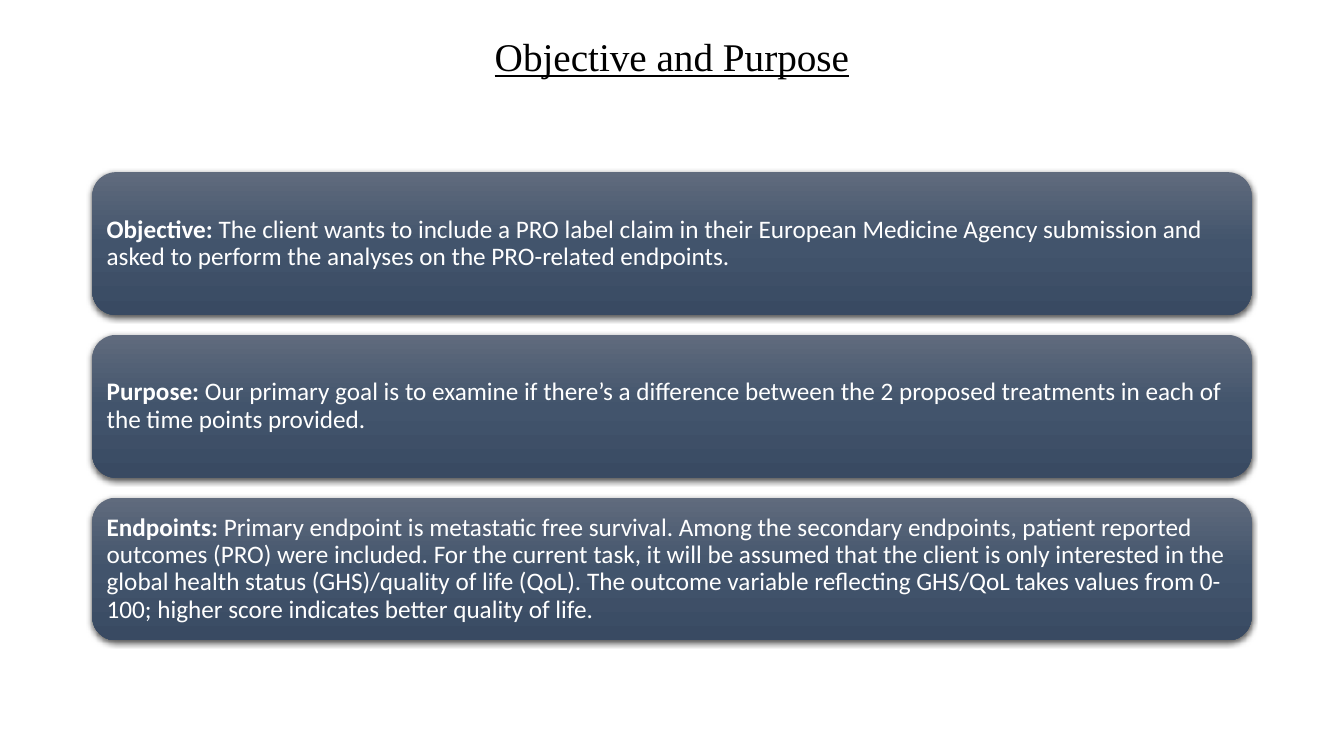
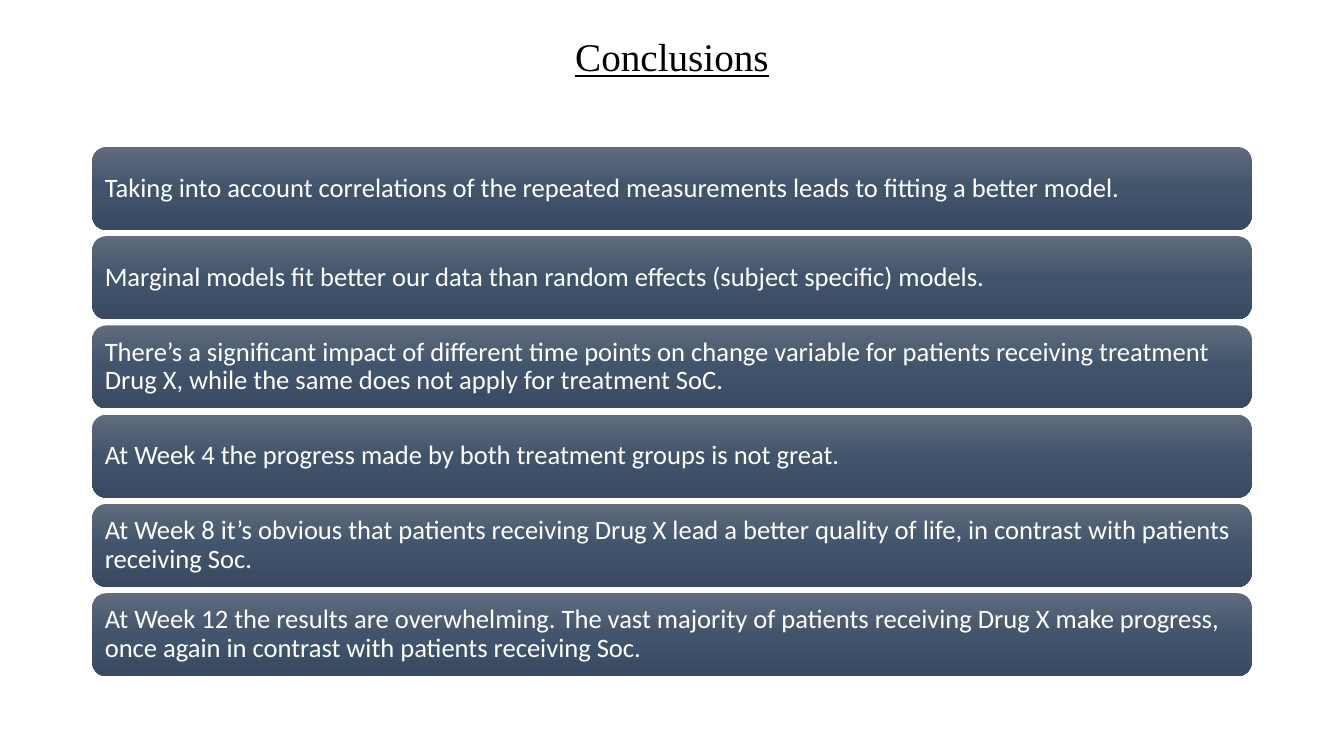
"""Build the objective and conclusions slides."""
from copy import deepcopy

from pptx import Presentation
from pptx.dml.color import RGBColor
from pptx.enum.shapes import MSO_SHAPE
from pptx.enum.text import MSO_ANCHOR, PP_ALIGN
from pptx.oxml import parse_xml
from pptx.oxml.ns import nsdecls, qn
from pptx.util import Pt

ROUND = MSO_SHAPE.ROUNDED_RECTANGLE
MIDDLE = MSO_ANCHOR.MIDDLE
LEFT, CENTER = PP_ALIGN.LEFT, PP_ALIGN.CENTER

PX = 9525
WIDTH, HEIGHT = 1280, 720
EDGE = 88
SPAN = WIDTH - 2 * EDGE
BLACK, WHITE = "000000", "FFFFFF"
STOPS = ((0, "606B7D"), (0.5, "42546C"), (1, "394A62"))
SERIF, SANS = "Times New Roman", "Calibri"
SHADOW = (
    f'<a:outerShdw {nsdecls("a")} blurRad="57150" dist="19050" dir="5400000" '
    'algn="ctr" rotWithShape="0"><a:srgbClr val="000000">'
    '<a:alpha val="63000"/></a:srgbClr></a:outerShdw>'
)

GOALS = (
    (("Objective:", True),
     (" The client wants to include a PRO label claim in their European "
      "Medicine Agency submission and asked to perform the analyses on the "
      "PRO-related endpoints.", False)),
    (("Purpose: ", True),
     ("Our primary goal is to examine if there’s a difference between the 2 "
      "proposed treatments in each of the time points provided.", False)),
    (("Endpoints: ", True),
     ("Primary endpoint is metastatic free survival. Among the secondary "
      "endpoints, patient reported outcomes (PRO) were included. For the "
      "current task, it will be assumed that the client is only interested "
      "in the global health status (GHS)/quality of life (QoL). The outcome "
      "variable reflecting GHS/QoL takes values from 0-100; higher score "
      "indicates better quality of life.", False)),
)
RESULTS = (
    "Taking into account correlations of the repeated measurements leads to "
    "fitting a better model.",
    "Marginal models fit better our data than random effects (subject "
    "specific) models.",
    "There’s a significant impact of different time points on change variable "
    "for patients receiving treatment Drug X, while the same does not apply "
    "for treatment SoC.",
    "At Week 4 the progress made by both treatment groups is not great.",
    "At Week 8 it’s obvious that patients receiving Drug X lead a better "
    "quality of life, in contrast with patients receiving Soc.",
    "At Week 12 the results are overwhelming. The vast majority of patients "
    "receiving Drug X make progress, once again in contrast with patients "
    "receiving Soc.",
)


def color(code):
    """Turn a hex string into a colour."""
    return RGBColor.from_string(code)


def box(left, top, width, height):
    """Turn px lengths into EMU."""
    return [n * PX for n in (left, top, width, height)]


def write(shape, runs, size, face, ink, align=LEFT, line=False):
    """Write one paragraph of (text, bold) runs into a shape."""
    frame = shape.text_frame
    frame.word_wrap = True
    frame.vertical_anchor = MIDDLE
    para = frame.paragraphs[0]
    para.alignment = align
    para.line_spacing = 0.9
    for text, bold in runs:
        run = para.add_run()
        run.text = text
        font = run.font
        font.name, font.size = face, Pt(size)
        font.bold, font.underline = bold, line
        font.color.rgb = color(ink)


def shade(shape):
    """Fill a shape with the shared vertical gradient."""
    shape.fill.gradient()
    shape.fill.gradient_angle = 270
    stops = shape._element.spPr.find(qn("a:gradFill")).find(qn("a:gsLst"))
    stops.append(deepcopy(stops[-1]))
    for stop, (place, code) in zip(shape.fill.gradient_stops, STOPS):
        stop.position = place
        stop.color.rgb = color(code)


def card(slide, top, height, runs, size, inset, raised):
    """Add a rounded card holding text."""
    shape = slide.shapes.add_shape(ROUND, *box(EDGE, top, SPAN, height))
    shape.line.fill.background()
    shade(shape)
    shape.shadow.inherit = False
    if raised:
        effects = shape._element.spPr.find(qn("a:effectLst"))
        effects.append(parse_xml(SHADOW))
    frame = shape.text_frame
    frame.margin_left = frame.margin_right = inset * PX
    frame.margin_top = frame.margin_bottom = 0
    write(shape, runs, size, SANS, WHITE)


def stack(slide, items, top, height, gap, size, inset, raised=False):
    """Add equally spaced cards from top to bottom."""
    for row, runs in enumerate(items):
        place = top + row * (height + gap)
        card(slide, place, height, runs, size, inset, raised)


def page(deck, title):
    """Add a blank slide with the shared title style."""
    slide = deck.slides.add_slide(deck.slide_layouts[6])
    label = slide.shapes.add_textbox(*box(EDGE, 8, SPAN, 96))
    write(label, [(title, False)], 28, SERIF, BLACK, CENTER, True)
    return slide


def main():
    """Build and save the deck."""
    deck = Presentation()
    deck.slide_width, deck.slide_height = WIDTH * PX, HEIGHT * PX
    stack(page(deck, "Objective and Purpose"), GOALS,
          top=164, height=136, gap=19, size=18, inset=7, raised=True)
    stack(page(deck, "Conclusions"), [[(text, False)] for text in RESULTS],
          top=140, height=79, gap=6, size=19, inset=8)
    deck.save("out.pptx")


if __name__ == "__main__":
    main()
